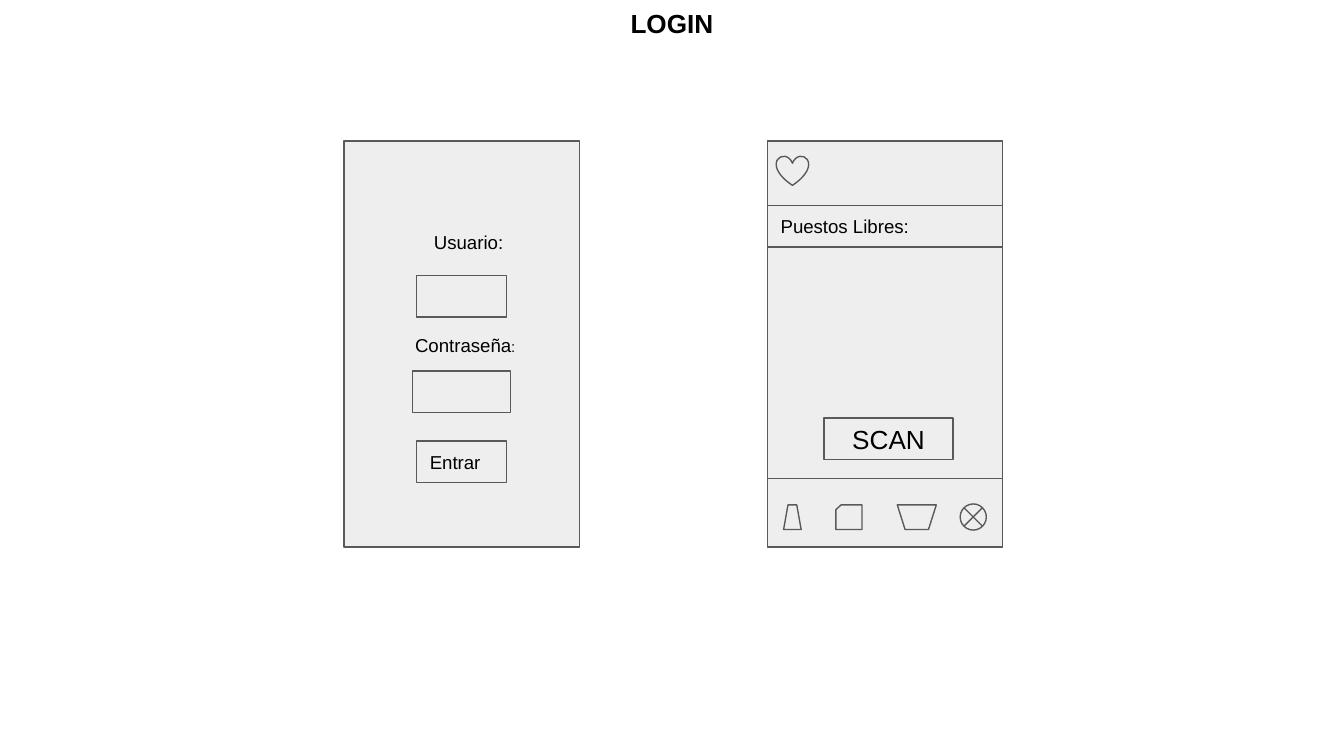
"""Build the login wireframe slide with its two phone screens."""
from lxml import etree
from pptx import Presentation
from pptx.dml.color import RGBColor
from pptx.enum.shapes import MSO_CONNECTOR, MSO_SHAPE
from pptx.enum.text import MSO_ANCHOR, PP_ALIGN
from pptx.oxml.ns import qn
from pptx.util import Pt

RECT = MSO_SHAPE.RECTANGLE
LEFT, CENTER = PP_ALIGN.LEFT, PP_ALIGN.CENTER
TOP, MIDDLE = MSO_ANCHOR.TOP, MSO_ANCHOR.MIDDLE
GRAY = RGBColor(0xEE, 0xEE, 0xEE)
DARK = RGBColor(0x59, 0x59, 0x59)
BLACK = RGBColor(0, 0, 0)
PAD = Pt(7.2)

deck = Presentation()
deck.slide_width, deck.slide_height = Pt(720), Pt(405)
slide = deck.slides.add_slide(deck.slide_layouts[5])
shapes = slide.shapes


def write(shape, text, size=10, align=LEFT, anchor=TOP, bold=False):
    """Set the text of a shape and format it."""
    frame = shape.text_frame
    frame.text = text
    frame.word_wrap = True
    frame.vertical_anchor = anchor
    frame.margin_left = frame.margin_right = PAD
    frame.margin_top = frame.margin_bottom = PAD
    line = frame.paragraphs[0]
    line.alignment = align
    for run in line.runs:
        font = run.font
        font.name, font.size, font.bold = "Arial", Pt(size), bold
        font.color.rgb = BLACK


def draw(kind, x, y, width, height):
    """Add a gray outlined shape."""
    shape = shapes.add_shape(kind, Pt(x), Pt(y), Pt(width), Pt(height))
    shape.shadow.inherit = False
    shape.fill.solid()
    shape.fill.fore_color.rgb = GRAY
    shape.line.color.rgb = DARK
    shape.line.width = Pt(0.75)
    return shape


title = shapes.title
title.left, title.top, title.width, title.height = Pt(184.3), Pt(-3), Pt(351.4), Pt(41)
write(title, "LOGIN", 14, CENTER, bold=True)

for x in (184.3, 411.1):
    draw(RECT, x, 75.6, 126, 217.4)

draw(RECT, 223.2, 147.6, 48.2, 22.3)
draw(RECT, 221, 198.7, 52.6, 22.3)
for text, x, y, width, height in (
    ("Usuario:", 225.4, 117.4, 57.6, 27.4),
    ("Contraseña", 215.3, 172.8, 92.2, 41),
):
    label = shapes.add_textbox(Pt(x), Pt(y), Pt(width), Pt(height))
    write(label, text)
colon = label.text_frame.paragraphs[0].add_run()
colon.text = ":"
colon.font.name, colon.font.size = "Arial", Pt(8)
colon.font.color.rgb = BLACK

for text, x, y, width, size, align in (
    ("Entrar", 223.2, 236.3, 48.2, 10, LEFT),
    ("SCAN", 441.5, 224, 69.1, 14, CENTER),
    ("Puestos Libres:", 411.1, 110, 126, 10, LEFT),
):
    write(draw(RECT, x, y, width, 22.3), text, size, align, MIDDLE)

for kind, x, y, width, height in (
    (MSO_SHAPE.HEART, 415.9, 83.5, 17.3, 15.8),
    (MSO_SHAPE.TRAPEZOID, 419.8, 270.5, 9.4, 13.2),
    (MSO_SHAPE.FLOWCHART_CARD, 447.8, 270.5, 14, 13.2),
    (MSO_SHAPE.FLOWCHART_MANUAL_OPERATION, 480.7, 270.5, 20.9, 13.2),
    (MSO_SHAPE.FLOWCHART_SUMMING_JUNCTION, 514.4, 270, 14, 14),
):
    draw(kind, x, y, width, height)

rule = shapes.add_connector(MSO_CONNECTOR.STRAIGHT, Pt(411.5), Pt(256.3), Pt(537.1), Pt(256.3))
rule.line.color.rgb = DARK
rule.line.width = Pt(0.75)
etree.SubElement(rule._element.spPr, qn("a:effectLst"))

deck.save("out.pptx")
